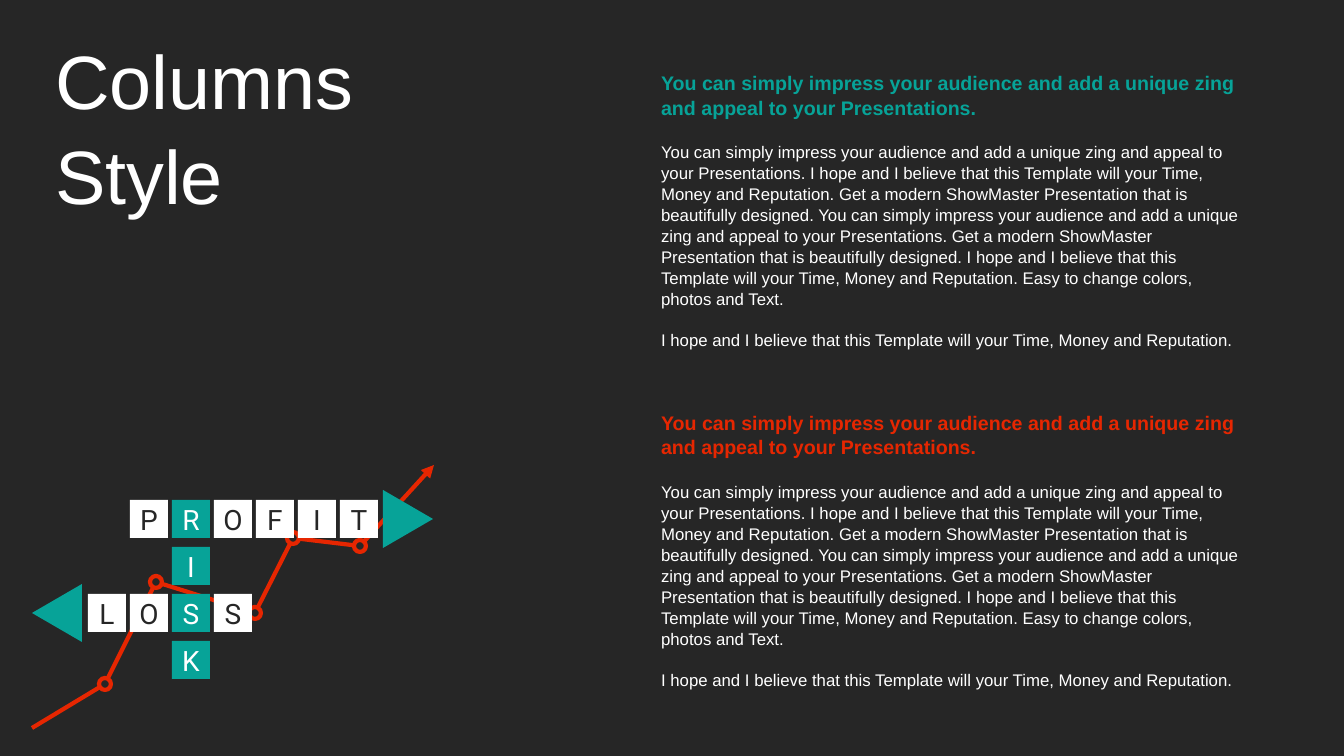
from itertools import pairwise
from math import dist

from lxml.etree import SubElement
from pptx import Presentation
from pptx.dml.color import RGBColor
from pptx.enum.shapes import MSO_CONNECTOR, MSO_SHAPE as Shape
from pptx.enum.text import MSO_ANCHOR as Anchor, MSO_AUTO_SIZE as AutoSize, PP_ALIGN as Align
from pptx.oxml.ns import qn
from pptx.util import Pt

SLIDE_W, SLIDE_H = 1344, 756
EMU_PER_PX = 12192000 / SLIDE_W

DARK = RGBColor(0x26, 0x26, 0x26)
WHITE = RGBColor(0xFF, 0xFF, 0xFF)
TEAL = RGBColor(0x07, 0xA3, 0x98)
RED = RGBColor(0xE6, 0x26, 0x01)

TITLE_FONT = {"name": "Arial", "size": Pt(54), "bold": False}
HEADING_FONT = {"name": "Arial", "size": Pt(14), "bold": True}
BODY_FONT = {"name": "Arial", "size": Pt(12), "bold": False}
TILE_FONT = {"name": "Roboto", "size": Pt(20), "bold": False}
PLAIN_PARAGRAPH = {"alignment": Align.LEFT, "line_spacing": 1.04,
                   "space_before": Pt(0), "space_after": Pt(0)}
TEXT_FRAME = {"word_wrap": True, "auto_size": AutoSize.NONE, "vertical_anchor": Anchor.TOP}
TILE_FRAME = {"margin_left": 0, "margin_right": 0, "margin_top": 0, "margin_bottom": 0,
              "word_wrap": False, "vertical_anchor": Anchor.MIDDLE}

HEADING = "You can simply impress your audience and add a unique zing and appeal to your Presentations."
BODY = [
    "You can simply impress your audience and add a unique zing and appeal to your Presentations. "
    "I hope and I believe that this Template will your Time, Money and Reputation. "
    "Get a modern ShowMaster Presentation that is beautifully designed. "
    "You can simply impress your audience and add a unique zing and appeal to your Presentations. "
    "Get a modern ShowMaster Presentation that is beautifully designed. "
    "I hope and I believe that this Template will your Time, Money and Reputation. "
    "Easy to change colors, photos and Text.",
    "I hope and I believe that this Template will your Time, Money and Reputation.",
]


def px(length):
    return round(length * EMU_PER_PX)


def set_all(target, values):
    for name, value in values.items():
        setattr(target, name, value)


def set_font(paragraph, font_values, color):
    set_all(paragraph.font, font_values)
    paragraph.font.color.rgb = color


def fill_placeholder(holder, box, texts, font_values, color, gap=0, anchor=Anchor.TOP):
    """Move a placeholder to box and set its paragraphs, gap points apart."""
    set_all(holder, dict(zip(("left", "top", "width", "height"), map(px, box))))
    frame = holder.text_frame
    set_all(frame, TEXT_FRAME | {"vertical_anchor": anchor})
    frame.text = "\n".join(texts)
    for index, paragraph in enumerate(frame.paragraphs):
        properties = paragraph._p.get_or_add_pPr()
        properties.set("marL", "0")
        properties.set("indent", "0")
        SubElement(properties, qn("a:buNone"))
        set_all(paragraph, PLAIN_PARAGRAPH)
        if index:
            paragraph.space_before = Pt(gap)
        set_font(paragraph, font_values, color)


def add_column(heading, body, box, color):
    """Coloured heading with its body text below."""
    left, top, width, height = box
    fill_placeholder(heading, (left, top, width, 57), [HEADING], HEADING_FONT, color)
    fill_placeholder(body, (left, top + 71, width, height - 71), BODY, BODY_FONT, WHITE, gap=14.4)


def add_solid(shapes, kind, box, color):
    shape = shapes.add_shape(kind, *map(px, box))
    shape.shadow.inherit = False
    shape.fill.solid()
    shape.fill.fore_color.rgb = color
    shape.line.fill.background()
    return shape


def add_trend(slide, left, top):
    """Rising line with a ring at each inner point and an arrow at its end."""
    shapes = slide.shapes.add_group_shape().shapes
    radius = 6
    offsets = [(0, 263), (73, 219), (124, 117), (223, 148), (261, 73), (328, 81), (402, 0)]
    points = [(left + x, top + y) for x, y in offsets]

    for x, y in points[1:-1]:
        ring = shapes.add_shape(Shape.OVAL, px(x - radius), px(y - radius),
                                px(2 * radius), px(2 * radius))
        ring.shadow.inherit = False
        ring.fill.background()
        ring.line.color.rgb = RED
        ring.line.width = Pt(3)

    for start, end in pairwise(points):
        trim = radius / dist(start, end)
        start_trim = 0 if start == points[0] else trim
        end_trim = 0 if end == points[-1] else trim
        (x1, y1), (x2, y2) = start, end
        dx, dy = x2 - x1, y2 - y1
        segment = shapes.add_connector(
            MSO_CONNECTOR.STRAIGHT,
            px(x1 + dx * start_trim), px(y1 + dy * start_trim),
            px(x2 - dx * end_trim), px(y2 - dy * end_trim))
        segment.line.color.rgb = RED
        segment.line.width = Pt(3)
        properties = segment._element.spPr
        if end == points[-1]:
            SubElement(properties.find(qn("a:ln")), qn("a:tailEnd"), type="triangle")
        SubElement(properties, qn("a:effectLst"))


def add_crossword(slide, left, top):
    """PROFIT and LOSS across, RISK down, with an arrow for each direction."""
    shapes = slide.shapes.add_group_shape().shapes
    tile, column_step, row_step = 38, 42, 47
    first_column = left + 60

    # Letters by (column, row); the RISK tiles take over where words cross
    letters = {(1 + i, 0): (letter, WHITE, DARK) for i, letter in enumerate("PROFIT")}
    letters |= {(i, 2): (letter, WHITE, DARK) for i, letter in enumerate("LOSS")}
    letters |= {(2, i): (letter, TEAL, WHITE) for i, letter in enumerate("RISK")}

    for (column, row), (letter, tile_color, letter_color) in letters.items():
        box = (first_column + column * column_step, top + row * row_step, tile, tile)
        square = add_solid(shapes, Shape.RECTANGLE, box, tile_color)
        set_all(square.text_frame, TILE_FRAME)
        paragraph = square.text_frame.paragraphs[0]
        paragraph.text = letter
        paragraph.alignment = Align.CENTER
        set_font(paragraph, TILE_FONT, letter_color)

    # Direction arrows
    for x, row, rotation in ((left + 351, 0, 90), (left, 2, 270)):
        box = (x, top - 6 + row * row_step, 58, 50)
        add_solid(shapes, Shape.ISOSCELES_TRIANGLE, box, TEAL).rotation = rotation


def build_columns_slide(deck):
    slide = deck.slides.add_slide(deck.slide_layouts.get_by_name("Comparison"))
    slide.background.fill.solid()
    slide.background.fill.fore_color.rgb = DARK
    holders = slide.placeholders

    # Title
    fill_placeholder(slide.shapes.title, (45, 28, 429, 194), ["Columns Style"],
                     TITLE_FONT, WHITE, anchor=Anchor.MIDDLE)

    # Illustration
    add_trend(slide, 32, 465)
    add_crossword(slide, 28, 500)

    # Text columns
    for index, (top, color) in enumerate(((65, TEAL), (405, RED))):
        heading, body = holders[1 + 2 * index], holders[2 + 2 * index]
        add_column(heading, body, (651, top, 606, 285), color)


def main():
    deck = Presentation()
    deck.slide_width, deck.slide_height = px(SLIDE_W), px(SLIDE_H)
    build_columns_slide(deck)
    deck.save("out.pptx")


if __name__ == "__main__":
    main()
